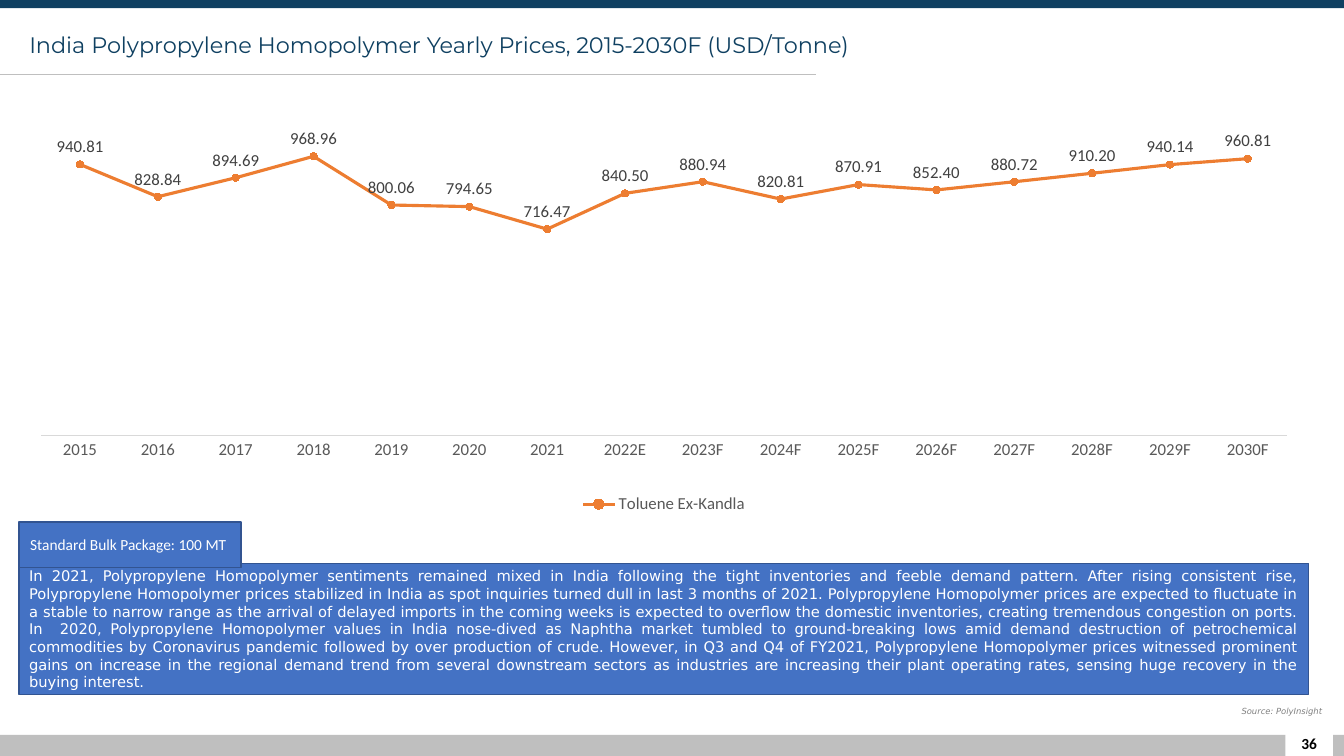
from lxml.etree import SubElement
from pptx import Presentation
from pptx.chart.data import CategoryChartData
from pptx.dml.color import RGBColor
from pptx.enum.chart import (XL_CHART_TYPE, XL_LABEL_POSITION, XL_LEGEND_POSITION,
                             XL_MARKER_STYLE, XL_TICK_MARK)
from pptx.enum.shapes import MSO_CONNECTOR, MSO_SHAPE
from pptx.enum.text import MSO_ANCHOR, PP_ALIGN
from pptx.oxml import parse_xml
from pptx.oxml.ns import nsdecls, qn
from pptx.util import Inches, Pt

WIDTH, HEIGHT = 13.33, 7.5
MARGIN = 0.19
CONTENT_WIDTH = 12.79
RULE_END = 8.09
NAVY, GREY, WHITE = "0F4061", "BFBFBF", "FFFFFF"
BLUE, BLUE_EDGE, ORANGE = "4472C4", "325491", "ED7D31"


def color(value):
    return RGBColor.from_string(value)


def style_font(font, name, size, value):
    font.name, font.size = name, Pt(size)
    font.color.rgb = color(value)


deck = Presentation()
deck.slide_width, deck.slide_height = Inches(WIDTH), Inches(HEIGHT)
page = deck.slides.add_slide(deck.slide_layouts[5])

# Bars at top and bottom, and the white page number tab
for left, top, width, height, fill in [
    (0, 7.29, WIDTH, 0.21, GREY),
    (0, 0, WIDTH, 0.08, NAVY),
    (12.75, 7.13, 0.47, 0.37, WHITE),
]:
    bar = page.shapes.add_shape(MSO_SHAPE.RECTANGLE, Inches(left), Inches(top),
                                Inches(width), Inches(height))
    bar.shadow.inherit = False
    bar.fill.solid()
    bar.fill.fore_color.rgb = color(fill)
    bar.line.fill.background()

# Title with the rule below it
title = page.shapes.title
title.left, title.top = Inches(MARGIN), Inches(0.21)
title.width, title.height = Inches(11.47), Inches(0.5)
title.text_frame.text = "India Polypropylene Homopolymer Yearly Prices, 2015-2030F (USD/Tonne)"
title.text_frame.vertical_anchor = MSO_ANCHOR.MIDDLE
para = title.text_frame.paragraphs[0]
para.alignment = PP_ALIGN.LEFT
para.line_spacing = 0.9
style_font(para.font, "Montserrat", 16, NAVY)

rule = page.shapes.add_connector(MSO_CONNECTOR.STRAIGHT, 0, Inches(0.74),
                                 Inches(RULE_END), Inches(0.74))
rule.line.color.rgb = color(GREY)
rule.line.width = Pt(0.5)
SubElement(rule._element.spPr, qn("a:effectLst"))

# Price chart
prices = CategoryChartData(number_format="0.00")
prices.categories = [f"{year}{'E' if year == 2022 else 'F' if year > 2022 else ''}"
                     for year in range(2015, 2031)]
prices.add_series("Toluene Ex-Kandla", [
    940.81, 828.84, 894.69, 968.96, 800.06, 794.65, 716.47, 840.50,
    880.94, 820.81, 870.91, 852.40, 880.72, 910.20, 940.14, 960.81])
chart = page.shapes.add_chart(XL_CHART_TYPE.LINE_MARKERS_STACKED, Inches(MARGIN), Inches(0.89),
                              Inches(CONTENT_WIDTH), Inches(4.25), prices).chart
style_font(chart.font, "Calibri", 10, "000000")
chart.has_title = False

years = chart.category_axis
years.major_tick_mark = years.minor_tick_mark = XL_TICK_MARK.NONE
years.format.line.color.rgb = color("D9D9D9")
years.format.line.width = Pt(0.75)
style_font(years.tick_labels.font, "Calibri", 12, "595959")

values = chart.value_axis
values.visible = False
values.has_major_gridlines = False
values.minimum_scale, values.maximum_scale = 0, 1200

plot = chart.plots[0]
plot.vary_by_categories = False
series = plot.series[0]
series.smooth = False
series.format.line.color.rgb = color(ORANGE)
series.format.line.width = Pt(2.25)
series.marker.style = XL_MARKER_STYLE.CIRCLE
series.marker.size = 5
series.marker.format.fill.solid()
series.marker.format.fill.fore_color.rgb = color(ORANGE)
series.marker.format.line.color.rgb = color(ORANGE)

labels = series.data_labels
labels.show_value = True
labels.position = XL_LABEL_POSITION.ABOVE
labels.number_format, labels.number_format_is_linked = "0.00", False
style_font(labels.font, "Calibri", 12, "404040")

chart.has_legend = True
chart.legend.position = XL_LEGEND_POSITION.BOTTOM
chart.legend.include_in_layout = False
style_font(chart.legend.font, "Calibri", 12, "595959")

# Fixed plot area, as shares of the chart
plot_area = chart._chartSpace.chart.plotArea
for old_layout in plot_area.findall(qn("c:layout")):
    plot_area.remove(old_layout)
plot_area.insert(0, parse_xml(
    f'<c:layout {nsdecls("c")}><c:manualLayout><c:layoutTarget val="inner"/>'
    '<c:xMode val="edge"/><c:yMode val="edge"/><c:x val="0.017"/><c:y val="0"/>'
    '<c:w val="0.966"/><c:h val="0.808"/></c:manualLayout></c:layout>'))

# Commentary panel and its tab
commentary = " ".join([
    "In 2021, Polypropylene Homopolymer sentiments remained mixed in India following the tight "
    "inventories and feeble demand pattern.",
    "After rising consistent rise, Polypropylene Homopolymer prices stabilized in India as spot "
    "inquiries turned dull in last 3 months of 2021.",
    "Polypropylene Homopolymer prices are expected to fluctuate in a stable to narrow range as "
    "the arrival of delayed imports in the coming weeks is expected to overflow the domestic "
    "inventories, creating tremendous congestion on ports.",
    "In  2020, Polypropylene Homopolymer values in India nose-dived as Naphtha market tumbled to "
    "ground-breaking lows amid demand destruction of petrochemical commodities by Coronavirus "
    "pandemic followed by over production of crude.",
    "However, in Q3 and Q4 of FY2021, Polypropylene Homopolymer prices witnessed prominent gains "
    "on increase in the regional demand trend from several downstream sectors as industries are "
    "increasing their plant operating rates, sensing huge recovery in the buying interest.",
])
for top, width, height, text, align, font, size in [
    (5.59, CONTENT_WIDTH, 1.3, commentary, PP_ALIGN.JUSTIFY, "DejaVu Sans", 10.5),
    (5.18, 2.2, 0.45, "Standard Bulk Package: 100 MT ", PP_ALIGN.CENTER, "Calibri", 11),
]:
    panel = page.shapes.add_shape(MSO_SHAPE.RECTANGLE, Inches(MARGIN), Inches(top),
                                  Inches(width), Inches(height))
    panel.shadow.inherit = False
    panel.fill.solid()
    panel.fill.fore_color.rgb = color(BLUE)
    panel.line.color.rgb = color(BLUE_EDGE)
    panel.line.width = Pt(1)
    panel.text_frame.word_wrap = True
    panel.text_frame.vertical_anchor = MSO_ANCHOR.MIDDLE
    panel.text_frame.text = text
    para = panel.text_frame.paragraphs[0]
    para.alignment = align
    style_font(para.font, font, size, WHITE)

# Source line and page number
for left, top, width, height, text, align, anchor, font, size, ink, bold in [
    (RULE_END, 6.96, 5.12, 0.2, "Source: PolyInsight", PP_ALIGN.RIGHT, MSO_ANCHOR.TOP,
     "DejaVu Sans", 6, "808080", False),
    (12.66, 7.17, 0.65, 0.4, "36", PP_ALIGN.CENTER, MSO_ANCHOR.MIDDLE,
     "Calibri", 11, "000000", True),
]:
    box = page.shapes.add_textbox(Inches(left), Inches(top), Inches(width), Inches(height))
    box.text_frame.word_wrap = True
    box.text_frame.vertical_anchor = anchor
    box.text_frame.text = text
    para = box.text_frame.paragraphs[0]
    para.alignment = align
    style_font(para.font, font, size, ink)
    para.font.bold, para.font.italic = bold, not bold

deck.save("out.pptx")
